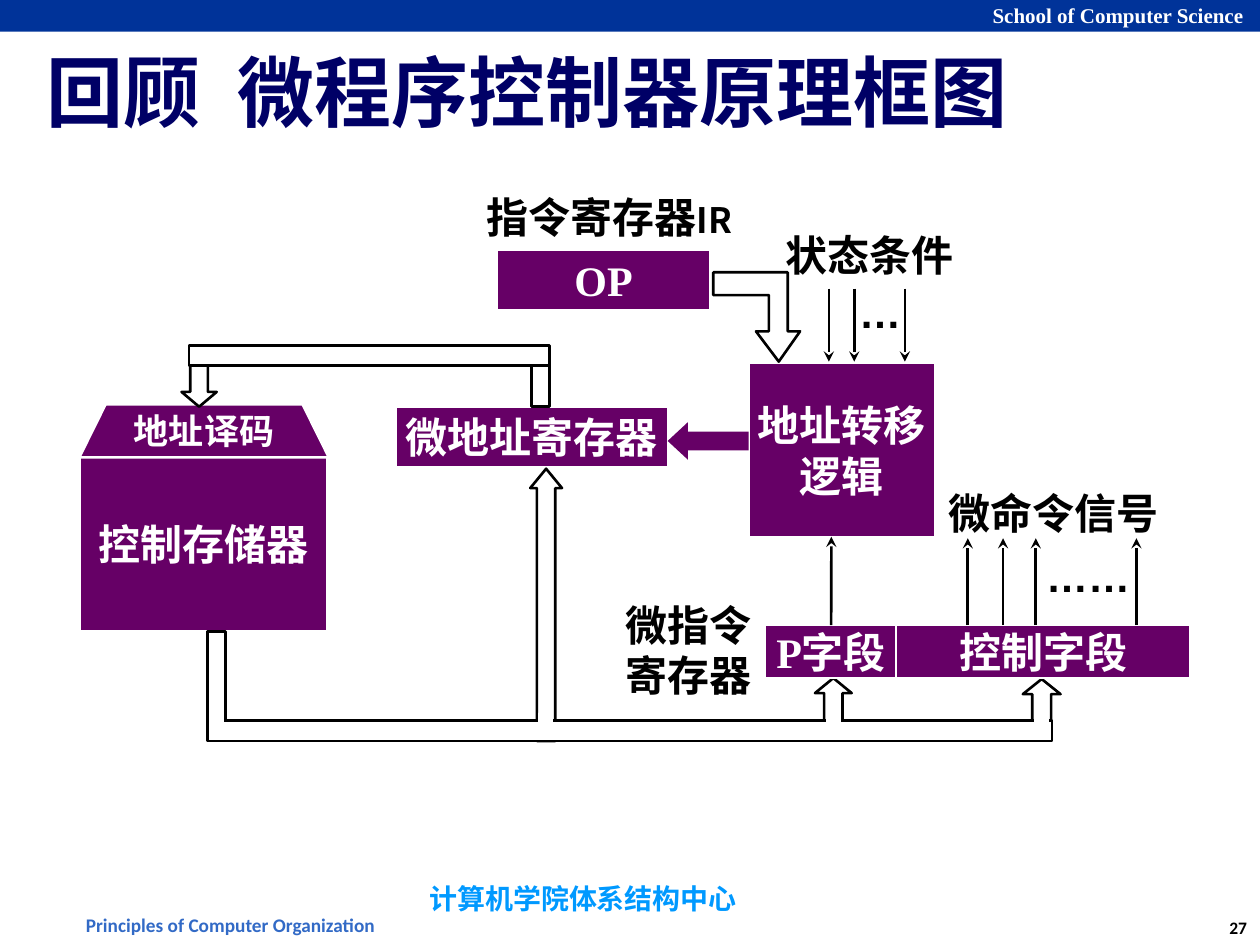
import dataclasses

import pptx
import pptx.dml.color
import pptx.enum.shapes
import pptx.enum.text
import pptx.oxml.ns
import pptx.util
from lxml import etree

Cm = pptx.util.Cm
MSO = pptx.enum.shapes.MSO_SHAPE
ALIGN = pptx.enum.text.PP_ALIGN
ANCHOR = pptx.enum.text.MSO_ANCHOR
qn = pptx.oxml.ns.qn


@dataclasses.dataclass(frozen=True)
class Theme:
    """Colours, fonts and type sizes of the slide."""
    block: str = "660066"
    ink: str = "000000"
    paper: str = "FFFFFF"
    bar: str = "003399"
    title: str = "000066"
    course: str = "326AC6"
    centre: str = "0099FF"
    serif: str = "Times New Roman"
    sans: str = "Calibri"
    cjk: str = "Noto Sans CJK SC"
    dots: str = "Arial"
    title_size: float = 44
    label_size: float = 24
    small_size: float = 20
    centre_size: float = 16
    school_size: float = 12
    course_size: float = 11
    page_size: float = 10
    line: float = 1.5


T = Theme()


def rgb(value):
    """Return the colour object of a hex string."""
    return pptx.dml.color.RGBColor.from_string(value)


def add_run(p, text, size=T.label_size, font=T.cjk, ea=T.cjk, color=T.ink, spacing=None):
    """Add a bold run with Latin and East Asian fonts."""
    r = p.add_run()
    r.text = text
    r.font.size = pptx.util.Pt(size)
    r.font.name = font
    r.font.bold = True
    r.font.color.rgb = rgb(color)
    r.font._element.find(qn("a:latin")).addnext(
        etree.Element(qn("a:ea"), typeface=ea))
    if spacing:
        r.font._element.set("spc", str(spacing * 100))


def write(sp, text, align=ALIGN.CENTER, anchor=ANCHOR.TOP, wrap=False, **fmt):
    """Write one paragraph per line of text and return the last one."""
    tf = sp.text_frame
    tf.word_wrap = wrap
    tf.vertical_anchor = anchor
    for i, line in enumerate(text.split("\n")):
        p = tf.add_paragraph() if i else tf.paragraphs[0]
        p.alignment = align
        add_run(p, line, **fmt)
    return p


def add_label(s, text, x, y, w, h, **fmt):
    """Add a text box."""
    sp = s.shapes.add_textbox(Cm(x), Cm(y), Cm(w), Cm(h))
    return write(sp, text, **fmt)


def paint(sp, fill, line):
    """Set fill and outline and remove the shadow."""
    sp.shadow.inherit = False
    sp.fill.solid()
    sp.fill.fore_color.rgb = rgb(fill)
    if line:
        sp.line.color.rgb = rgb(line)
        sp.line.width = pptx.util.Pt(T.line)
    else:
        sp.line.fill.background()
    return sp


def add_preset(s, kind, x, y, w, h, fill=T.paper, line=T.ink, adj=()):
    """Add a preset shape."""
    sp = s.shapes.add_shape(kind, Cm(x), Cm(y), Cm(w), Cm(h))
    for i, value in enumerate(adj):
        sp.adjustments[i] = value
    return paint(sp, fill, line)


def add_block(s, text, x, y, w, h, font=T.serif):
    """Add a purple block with its centred name."""
    sp = add_preset(s, MSO.RECTANGLE, x, y, w, h, T.block, T.paper)
    write(sp, text, anchor=ANCHOR.MIDDLE, font=font, color=T.paper)
    return sp


def add_outline(s, x, y, points, fill=T.paper, line=T.ink):
    """Add a closed polygon whose points are relative to x, y."""
    pts = [(Cm(x + dx), Cm(y + dy)) for dx, dy in points]
    builder = s.shapes.build_freeform(*pts[0])
    builder.add_line_segments(pts[1:], close=True)
    return paint(builder.convert_to_shape(), fill, line)


def add_arrow(s, x, y1, y2, source=None):
    """Add a vertical arrow, joined to the top of a source block if given."""
    c = s.shapes.add_connector(
        pptx.enum.shapes.MSO_CONNECTOR.STRAIGHT, Cm(x), Cm(y1), Cm(x), Cm(y2))
    c.line.color.rgb = rgb(T.ink)
    c.line.width = pptx.util.Pt(T.line)
    etree.SubElement(c.line._get_or_add_ln(), qn("a:tailEnd"), type="stealth")
    etree.SubElement(c._element.spPr, qn("a:effectLst"))
    if source is not None:
        c.begin_connect(source, 0)


def draw_header(s, x, y, w, h):
    """Draw the school bar."""
    add_preset(s, MSO.RECTANGLE, x, y, w, h, T.bar, None)
    add_label(s, "School of Computer Science", x + w - 5.67, y - 0.08, 5.61, 0.76,
              align=ALIGN.LEFT, size=T.school_size, font=T.serif, color=T.paper)


def draw_title(s, x, y, w, h):
    """Write the slide title with a widened word gap."""
    sp = s.shapes.add_textbox(Cm(x), Cm(y), Cm(w), Cm(h))
    tf = sp.text_frame
    tf.margin_left = tf.margin_right = tf.margin_top = tf.margin_bottom = Cm(0.1)
    fmt = dict(size=T.title_size, font=T.serif, color=T.title)
    p = write(sp, "回顾", align=ALIGN.LEFT, anchor=ANCHOR.MIDDLE, wrap=True, **fmt)
    add_run(p, " ", spacing=11, **fmt)
    add_run(p, "微程序控制器原理框图", **fmt)


def draw_footer(s, x, y, w, h):
    """Write the course, the centre and the page number."""
    add_label(s, "Principles of Computer Organization", x, y + 0.64, 6.5, 0.74, wrap=True,
              size=T.course_size, font=T.sans, color=T.course)
    add_label(s, "计算机学院体系结构中心", x + 7.01, y, 8.59, 1.02, wrap=True,
              align=ALIGN.LEFT, size=T.centre_size, color=T.centre)
    add_label(s, "27", x + w - 0.94, y + 0.71, 0.94, 0.69, size=T.page_size, font=T.sans)


def draw_address_logic(s, x, y, w, h):
    """Draw the instruction register, the transfer logic and its inputs."""
    add_block(s, "OP", x + 2.03, y + 1.3, 4.32, 1.22)
    p = add_label(s, "指令寄存器", x + 0.81, y, 6.99, 1.3, wrap=True)
    add_run(p, "IR", size=T.small_size)
    add_block(s, "微地址寄存器", x, y + 4.47, 5.49, 1.22)
    add_block(s, "地址转移\n逻辑", x + 7.11, y + h - 3.51, 3.76, 3.51)
    for dx in (8.73, 9.24, 10.26):
        add_arrow(s, x + dx, y + 2.09, y + 3.56)
    add_label(s, "…", x + 9.09, y + 1.93, 1.35, 1.27, font=T.dots, ea=T.dots)
    add_outline(s, x + 6.4, y + 1.76, [
        (0, 0), (1.5, 0), (1.5, 1.19), (1.75, 1.19), (1.32, 1.8),
        (0.86, 1.19), (1.12, 1.19), (1.12, 0.46), (0, 0.46)])
    add_label(s, "状态条件", x + w - 3.91, y + 0.77, 3.91, 1.27)
    add_preset(s, MSO.LEFT_ARROW, x + 5.48, y + 4.78, 1.63, 0.76, T.block, None, (0.5, 0.54))


def draw_control_store(s, x, y, w, h):
    """Draw the control store with its address decoder."""
    add_block(s, "控制存储器", x, y + 1.04, w - 0.03, h - 1.04, font=T.cjk)
    sp = add_outline(s, x, y, [(0, 1.07), (0.53, 0), (w - 0.53, 0), (w, 1.07)], T.block, T.paper)
    write(sp, "地址译码", anchor=ANCHOR.MIDDLE, size=T.small_size, color=T.paper)


def draw_instruction(s, x, y, w, h):
    """Draw the microinstruction register and the signals it sends."""
    top = y + 2.9
    branch = add_block(s, "P字段", x + 3.08, top, 2.67, 1.07)
    add_block(s, "控制字段", x + w - 5.94, top, 5.94, 1.07)
    add_arrow(s, x + 4.42, top, y + 1.12, source=branch)
    for dx in (7.17, 7.88, 8.54, 10.57):
        add_arrow(s, x + dx, top, y + 1.15)
    add_label(s, "……", x + 8.49, y + 1.27, 2.21, 1.27, font=T.dots, ea=T.dots)
    add_label(s, "微命令信号", x + 6.51, y, 4.78, 1.27)
    add_label(s, "微指令\n寄存器", x, y + h - 2.31, 3.1, 2.31)


def draw_address_bus(s, x, y, w, h):
    """Draw the path from the address register to the decoder."""
    add_preset(s, MSO.RECTANGLE, x + w - 0.36, y + 0.05, 0.36, h - 0.05)
    add_preset(s, MSO.DOWN_ARROW, x, y + 0.05, 0.71, h - 0.05, adj=(0.5, 0.42))
    add_preset(s, MSO.RECTANGLE, x + 0.15, y, w - 0.15, 0.41)


def draw_output_bus(s, x, y, w, h):
    """Draw the path from the store to the registers, opened at each branch."""
    add_preset(s, MSO.RECTANGLE, x, y + 3.28, 0.36, 2.18)
    branches = [(6.5, 0, 0.64, 5.49, (0.58, 0.61)),
                (12.24, 4.22, 0.74, 1.22, (0.5, 0.41)),
                (16.43, 4.24, 0.76, 1.22, (0.5, 0.4))]
    for dx, dy, bw, bh, adj in branches:
        add_preset(s, MSO.UP_ARROW, x + dx, y + dy, bw, bh, adj=adj)
    add_preset(s, MSO.RECTANGLE, x, y + h - 0.41, w - 0.17, 0.41)
    for centre in [0.18] + [dx + bw / 2 for dx, _, bw, _, _ in branches]:
        add_preset(s, MSO.RECTANGLE, x + centre - 0.13, y + 4.93, 0.25, 0.3, line=T.paper)


def main():
    """Build the slide and save it."""
    prs = pptx.Presentation()
    prs.slide_width, prs.slide_height = Cm(25.4), Cm(19.05)
    s = prs.slides.add_slide(prs.slide_layouts[6])
    draw_header(s, 0, 0, 25.43, 0.64)
    draw_footer(s, 1.4, 17.65, 24.03, 1.4)
    draw_title(s, 0.84, 0.64, 24.56, 2.39)
    draw_address_logic(s, 7.98, 3.73, 11.5, 7.1)
    draw_control_store(s, 1.6, 8.15, 5.03, 4.57)
    draw_address_bus(s, 3.66, 6.96, 7.42, 1.24)
    draw_output_bus(s, 4.19, 9.45, 17.19, 5.49)
    draw_instruction(s, 12.34, 9.7, 11.66, 4.57)
    prs.save("out.pptx")


if __name__ == "__main__":
    main()
